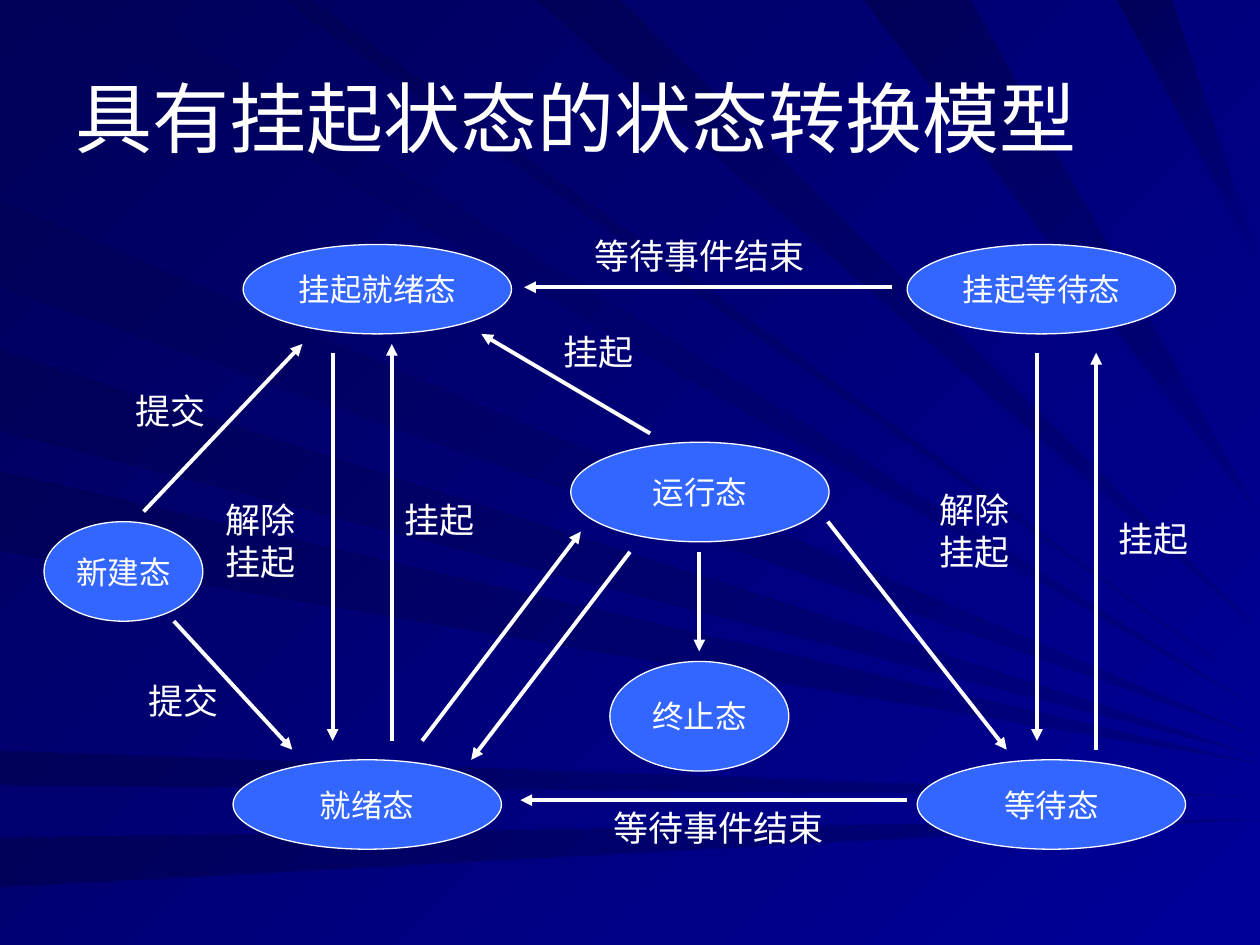
import lxml.etree
import pptx
import pptx.dml.color
import pptx.enum.shapes
import pptx.enum.text
import pptx.oxml.ns
import pptx.util

Inches = pptx.util.Inches
Pt = pptx.util.Pt
RGB = pptx.dml.color.RGBColor
ALIGN = pptx.enum.text.PP_ALIGN

WHITE = RGB.from_string("FFFFFF")
OVAL = RGB.from_string("3366FF")
HIGH = RGB.from_string("000099")
MID = RGB.from_string("000080")
LOW = RGB.from_string("000058")
FONT = "Arial"

SIDE_RAYS = [(1.59, 2.28, 5.85), (2.78, 3.42, 6), (3.74, 4.37, 6.06), (5.96, 6.23, 6.32), (6.65, 7.04, 6.5)]
TOP_RAYS = [(0.26, 1.01, 5.63), (2.25, 2.47, 5.5), (4.26, 4.92, 5), (6.86, 7.7, 4.1), (8.87, 9.3, 2.1)]

WIDE = (2.13, 0.71)
STATES = [
    ("挂起就绪态", 1.58, 0.14, WIDE),
    ("挂起等待态", 6.85, 0.14, WIDE),
    ("新建态", 0, 2.34, (1.26, 0.79)),
    ("就绪态", 1.5, 4.23, WIDE),
    ("等待态", 6.93, 4.23, WIDE),
    ("运行态", 4.18, 1.71, (2.05, 0.79)),
    ("终止态", 4.49, 3.45, (1.42, 0.87)),
]

LEVEL = [(0.48, 6.73, 3.81), (4.55, 6.85, 3.78)]
UPRIGHT = [(2.29, 1, 4.08), (2.76, 4.08, 0.93), (5.2, 2.58, 3.37), (7.88, 1, 4.08), (8.35, 4.15, 1)]
SLANTED = [
    (0.79, 2.26, 2.05, 0.93),
    (1.03, 3.13, 1.97, 4.15),
    (4.81, 1.64, 3.47, 0.85),
    (3, 4.08, 4.26, 2.42),
    (4.65, 2.58, 3.39, 4.23),
    (6.22, 2.34, 7.64, 4.15),
]

LABELS = [
    ("提交", (0.87, 0.44), ALIGN.LEFT, [(0.63, 1.24), (0.73, 3.54)]),
    ("等待事件结束", (3.15, 0.44), ALIGN.CENTER, [(3.63, 0.01), (3.78, 4.55)]),
    ("挂起", (0.79, 0.44), ALIGN.LEFT, [(4.02, 0.77), (8.43, 2.26), (2.76, 2.11)]),
    ("解除挂起", (0.79, 0.77), ALIGN.LEFT, [(1.34, 2.11), (7.01, 2.03)]),
]


def blend(fill, angle, start, end):
    """Blend two colours along a clockwise angle."""
    fill.gradient()
    fill.gradient_angle = 360 - angle
    for stop, color in zip(fill.gradient_stops, (start, end)):
        stop.color.rgb = color


def write(shape, text, size, align):
    """Set white text of one size and alignment."""
    shape.text_frame.text = text
    para = shape.text_frame.paragraphs[0]
    para.alignment = align
    font = para.runs[0].font
    font.name, font.size, font.color.rgb = FONT, Pt(size), WHITE


def add_ray(slide, spots):
    """Draw one beam through the given points."""
    draft = slide.shapes.build_freeform(*spots[0])
    draft.add_line_segments(spots[1:], close=True)
    ray = draft.convert_to_shape()
    ray.shadow.inherit = False
    ray.line.fill.background()
    blend(ray.fill, 225, MID, LOW)


def add_rays(slide, box):
    """Draw the backdrop and its beams, which run to the right side of the box."""
    left, top, width = box[:3]
    blend(slide.background.fill, 225, HIGH, LOW)
    for near, far, tip in SIDE_RAYS:
        end = left + width, top + Inches(tip)
        add_ray(slide, [(left, top + Inches(near)), end, (left, top + Inches(far))])
    for near, far, tip in TOP_RAYS:
        end = left + width, top + Inches(tip)
        add_ray(slide, [(left + Inches(near), top), end, (left + Inches(far), top)])


def add_title(slide, box):
    """Fit the title to the box, in front of the beams."""
    title = slide.shapes.title
    title.left, title.top, title.width, title.height = box
    write(title, "具有挂起状态的状态转换模型", 44, ALIGN.LEFT)
    frame = title.text_frame
    frame.vertical_anchor = pptx.enum.text.MSO_ANCHOR.MIDDLE
    frame.auto_size = pptx.enum.text.MSO_AUTO_SIZE.NONE
    title.element.getparent().append(title.element)


def add_state(slide, box, text):
    """Draw one state as an oval."""
    oval = slide.shapes.add_shape(pptx.enum.shapes.MSO_SHAPE.OVAL, *box)
    oval.shadow.inherit = False
    oval.fill.solid()
    oval.fill.fore_color.rgb = OVAL
    oval.line.color.rgb, oval.line.width = WHITE, Pt(0.75)
    write(oval, text, 18, ALIGN.CENTER)
    oval.text_frame.word_wrap = False
    oval.text_frame.vertical_anchor = pptx.enum.text.MSO_ANCHOR.MIDDLE


def add_move(slide, start, end):
    """Draw one arrow between two points."""
    kind = pptx.enum.shapes.MSO_CONNECTOR.STRAIGHT
    move = slide.shapes.add_connector(kind, *start, *end)
    move.line.color.rgb, move.line.width = WHITE, Pt(2.25)
    qn = pptx.oxml.ns.qn
    line = move.element.spPr.find(qn("a:ln"))
    lxml.etree.SubElement(line, qn("a:tailEnd"), type="triangle")
    lxml.etree.SubElement(move.element.spPr, qn("a:effectLst"))


def add_graph(slide, box):
    """Place the states, arrows and labels from the corner of the box."""
    def spot(x, y):
        """Return a point of the box."""
        return box[0] + Inches(x), box[1] + Inches(y)

    for text, x, y, size in STATES:
        add_state(slide, (*spot(x, y), *map(Inches, size)), text)
    moves = [(start, y, end, y) for y, start, end in LEVEL]
    moves += [(x, start, x, end) for x, start, end in UPRIGHT]
    for x, y, to_x, to_y in moves + SLANTED:
        add_move(slide, spot(x, y), spot(to_x, to_y))
    for text, size, align, places in LABELS:
        for place in places:
            label = slide.shapes.add_textbox(*spot(*place), *map(Inches, size))
            label.text_frame.word_wrap = True
            write(label, text, 20, align)


def main():
    """Build and save the slide."""
    deck = pptx.Presentation()
    deck.slide_width, deck.slide_height = Inches(10), Inches(7.5)
    slide = deck.slides.add_slide(deck.slide_layouts[5])
    add_rays(slide, (0, 0, deck.slide_width, deck.slide_height))
    add_title(slide, (Inches(0.5), Inches(0.3), Inches(9), Inches(1.25)))
    add_graph(slide, (Inches(0.35), Inches(1.8), Inches(9.22), Inches(4.99)))
    deck.save("out.pptx")


if __name__ == "__main__":
    main()
